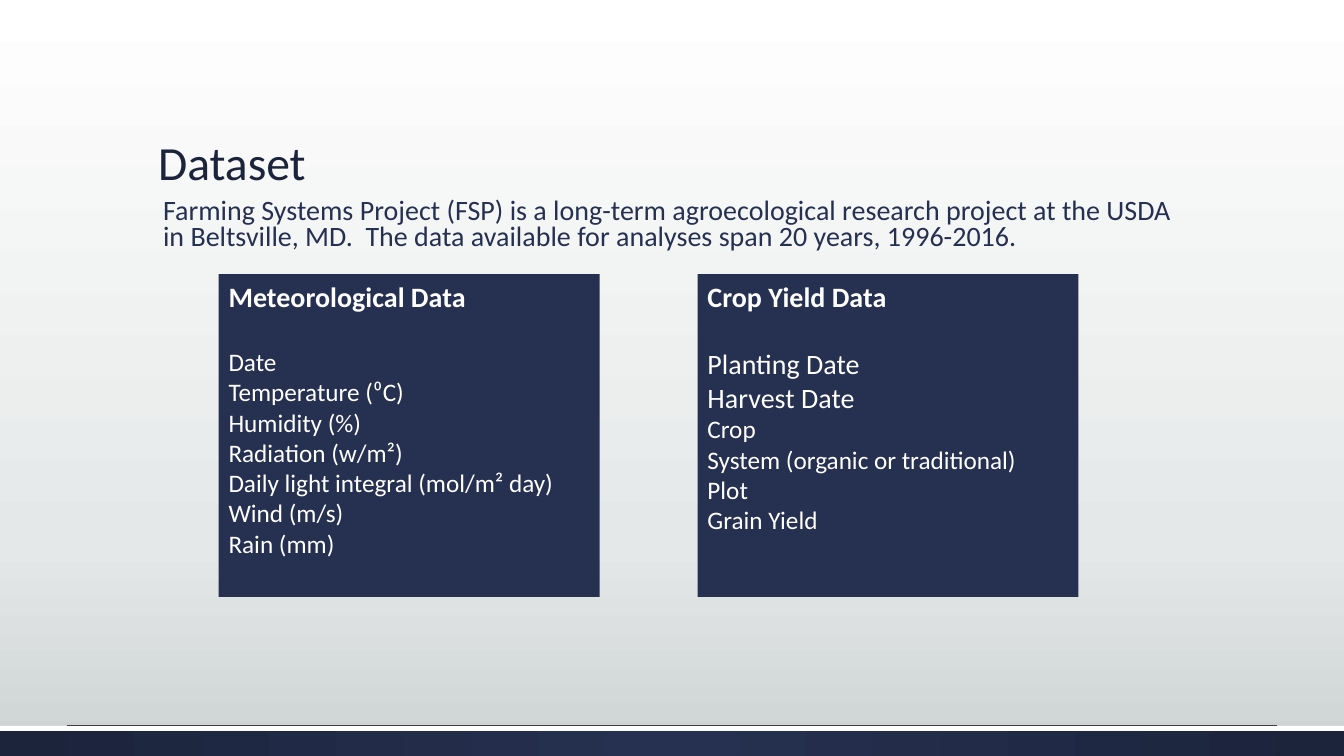
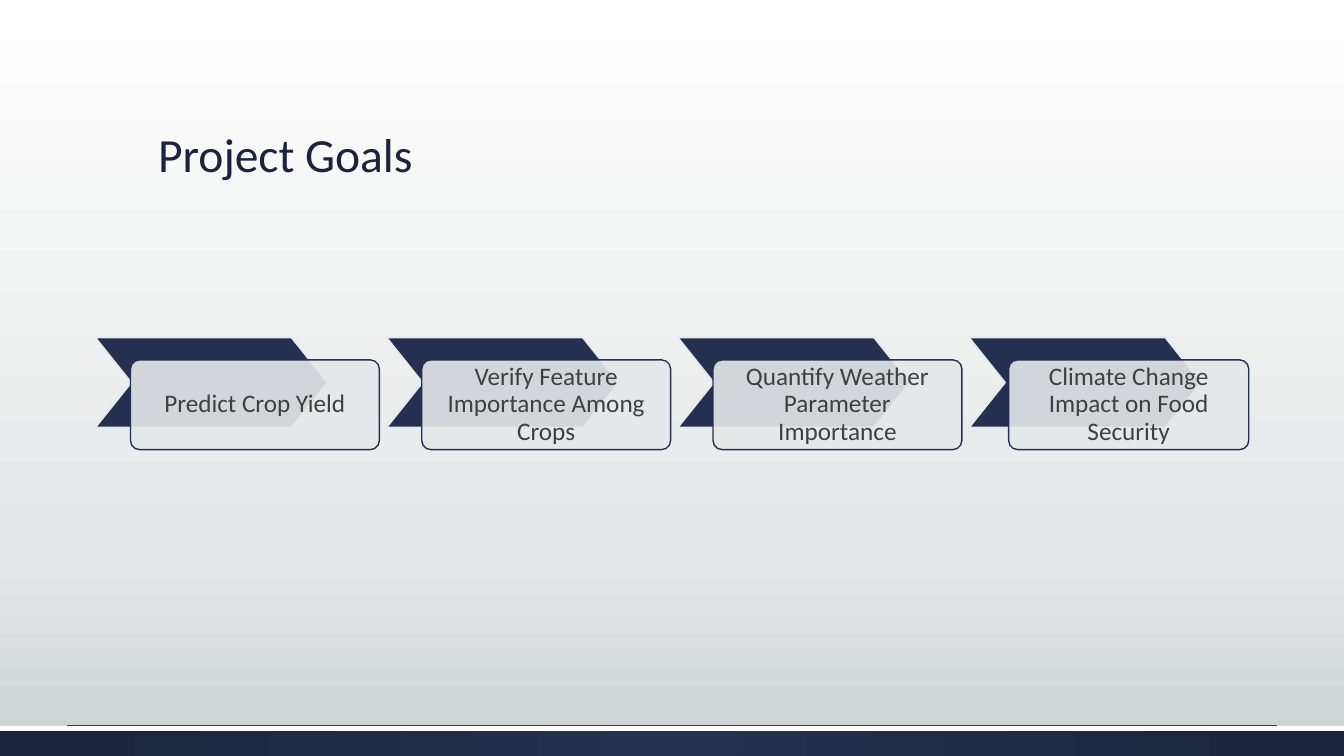
import pptx
import pptx.dml.color
import pptx.enum.shapes
import pptx.enum.text
import pptx.oxml.ns
import pptx.util
from lxml import etree

Cm = pptx.util.Cm
Pt = pptx.util.Pt
qn = pptx.oxml.ns.qn
KIND = pptx.enum.shapes.MSO_SHAPE
ALIGN = pptx.enum.text.PP_ALIGN
ANCHOR = pptx.enum.text.MSO_ANCHOR
FONT = "Calibri"
INK, NAVY, STEEL = "1C243C", "263050", "253050"
WHITE, MIST, ASH, GRAY = "FFFFFF", "E5E8E8", "CCD2D2", "404040"
WIDE, HIGH = 33.87, 19.05


def paint(color, code):
    color.rgb = pptx.dml.color.RGBColor.from_string(code)


def solid(fill, code):
    fill.solid()
    paint(fill.fore_color, code)


def blend(fill, host, stops, round=False):
    fill.gradient()
    node = host.find(".//" + qn("a:gradFill"))
    for child in list(node):
        node.remove(child)
    steps = etree.SubElement(node, qn("a:gsLst"))
    for spot, code in stops:
        stop = etree.SubElement(steps, qn("a:gs"), pos=str(spot * 1000))
        etree.SubElement(stop, qn("a:srgbClr"), val=code)
    if round:
        way = etree.SubElement(node, qn("a:path"))
        way.set("path", "circle")
        etree.SubElement(way, qn("a:fillToRect"), l="50000", t="50000", r="50000", b="50000")
    else:
        etree.SubElement(node, qn("a:lin"), ang="5400000", scaled="0")


def block(slide, kind, left, top, width, height, code, edge=None):
    shape = slide.shapes.add_shape(kind, Cm(left), Cm(top), Cm(width), Cm(height))
    shape.shadow.inherit = False
    solid(shape.fill, code)
    if edge:
        solid(shape.line.fill, edge)
        shape.line.width = Pt(1)
    else:
        shape.line.fill.background()
    return shape


def write(frame, rows, code, anchor=ANCHOR.TOP, align=ALIGN.LEFT, space=1.0):
    frame.word_wrap = True
    frame.auto_size = pptx.enum.text.MSO_AUTO_SIZE.NONE
    frame.vertical_anchor = anchor
    for index, (text, size) in enumerate(rows):
        para = frame.add_paragraph() if index else frame.paragraphs[0]
        para.text = text
        para.alignment = align
        para.line_spacing = space
        para.font.name = FONT
        para.font.size = Pt(size)
        paint(para.font.color, code)


def page(deck, title, top):
    slide = deck.slides.add_slide(deck.slide_layouts[5])
    band = block(slide, KIND.RECTANGLE, 0, 18.29, WIDE, 0.76, NAVY)
    blend(band.fill, band.element, [(0, NAVY), (100, INK)], round=True)
    block(slide, KIND.RECTANGLE, 0, 18.29, WIDE, 0.13, WHITE)
    rule = slide.shapes.add_connector(
        pptx.enum.shapes.MSO_CONNECTOR.STRAIGHT, Cm(1.7), Cm(18.27), Cm(32.17), Cm(18.27))
    solid(rule.line.fill, GRAY)
    rule.line.width = Pt(0.75)
    etree.SubElement(rule.element.spPr, qn("a:effectLst"))
    head = slide.shapes.title
    head.left, head.top, head.width, head.height = Cm(3.73), Cm(top), Cm(26.42), Cm(3.43)
    write(head.text_frame, [(title, 34)], INK, ANCHOR.BOTTOM, space=0.9)
    return slide


def panel(slide, left, title, rows):
    box = block(slide, KIND.RECTANGLE, left, 6.91, 9.6, 8.13, NAVY)
    write(box.text_frame, [(title, 20)] + rows, WHITE)
    head = box.text_frame.paragraphs[0]
    head.font.bold = True
    head.space_after = Pt(24)


def goal(slide, left, text, shift, width):
    arrow = block(slide, KIND.CHEVRON, left, 8.51, 5.84, 2.26, STEEL, MIST)
    arrow.adjustments[0] = 0.4
    card = block(slide, KIND.ROUNDED_RECTANGLE, left + shift, 9.07, width, 2.26, MIST, STEEL)
    card.adjustments[0] = 0.1
    tint = card.element.spPr.find(qn("a:solidFill"))[0]
    etree.SubElement(tint, qn("a:alpha"), val="90000")
    frame = card.text_frame
    frame.margin_left = frame.margin_right = Cm(0.36)
    frame.margin_top = frame.margin_bottom = Cm(0.36)
    write(frame, [(text, 18)], GRAY, ANCHOR.MIDDLE, ALIGN.CENTER, 0.9)


def data(deck):
    slide = page(deck, "Dataset", 1.5)
    intro = slide.shapes.add_textbox(Cm(3.73), Cm(4.88), Cm(26.42), Cm(1.7))
    intro.text_frame.margin_left = Cm(0.38)
    write(intro.text_frame, [(
        "Farming Systems Project (FSP) is a long-term agroecological research project "
        "at the USDA in Beltsville, MD.  The data available for analyses span 20 years, "
        "1996-2016.", 20)], NAVY, space=0.8)
    panel(slide, 5.51, "Meteorological Data", [
        (text, 18) for text in (
            "Date", "Temperature (⁰C)", "Humidity (%)", "Radiation (w/m²)",
            "Daily light integral (mol/m² day)", "Wind (m/s)", "Rain (mm)")])
    panel(slide, 17.58, "Crop Yield Data", [
        ("Planting Date", 20), ("Harvest Date", 20), ("Crop", 18),
        ("System (organic or traditional)", 18), ("Plot", 18), ("Grain Yield", 18)])


def goals(deck):
    slide = page(deck, "Project Goals", 1.3)
    items = [
        ("Predict Crop Yield", 0.88, 6.27),
        ("Verify Feature Importance Among Crops", 0.88, 6.27),
        ("Quantify Weather Parameter Importance", 0.88, 6.27),
        ("Climate Change Impact on Food Security", 0.99, 6.05),
    ]
    for index, item in enumerate(items):
        goal(slide, 2.41 + 7.34 * index, *item)


def main():
    deck = pptx.Presentation()
    deck.slide_width, deck.slide_height = Cm(WIDE), Cm(HIGH)
    master = deck.slide_master
    blend(master.background.fill, master.element, [(0, WHITE), (72, MIST), (100, ASH)])
    data(deck)
    goals(deck)
    deck.save("out.pptx")


if __name__ == "__main__":
    main()
